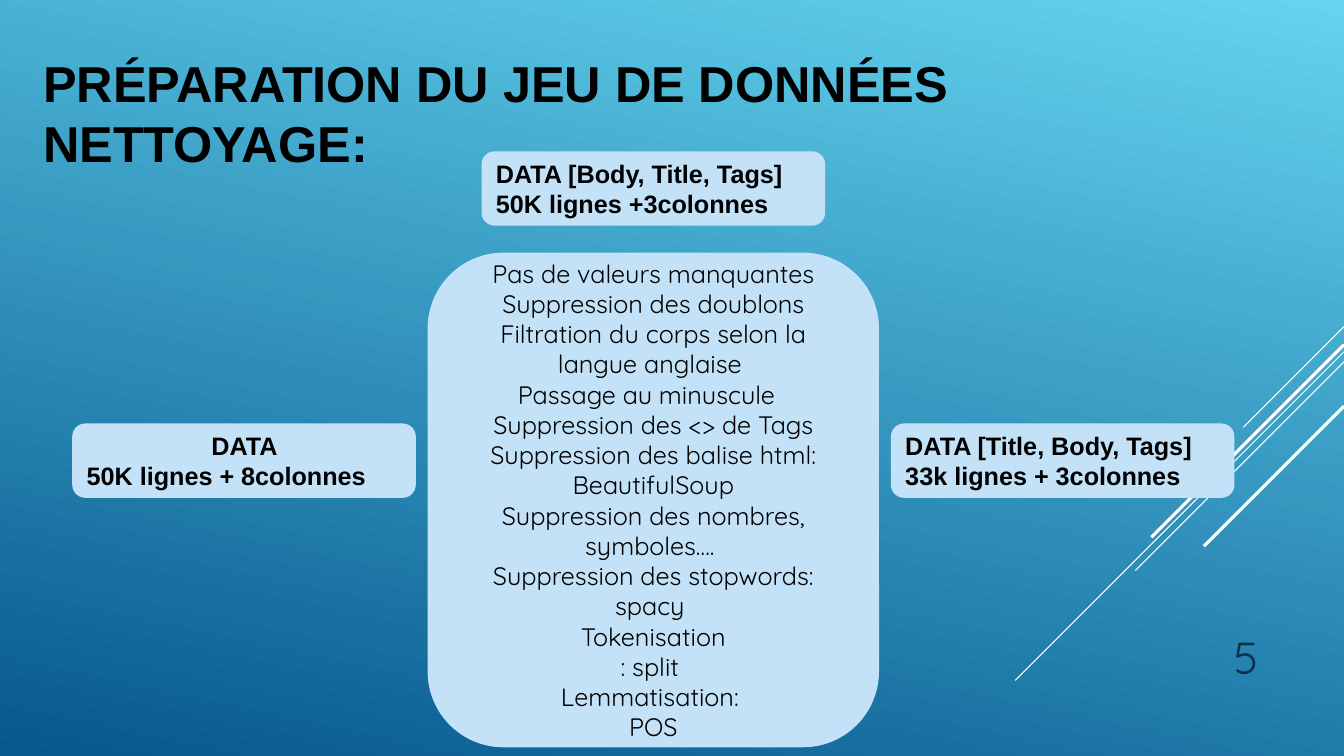
from pptx import Presentation
from pptx.dml.color import RGBColor
from pptx.enum.shapes import MSO_CONNECTOR, MSO_SHAPE
from pptx.enum.text import MSO_ANCHOR, PP_ALIGN
from pptx.oxml.ns import qn
from pptx.util import Inches, Pt
from lxml.etree import SubElement

BLACK = RGBColor(0x00, 0x00, 0x00)
WHITE = RGBColor(0xFF, 0xFF, 0xFF)
PALE_BLUE = RGBColor(0xC3, 0xE2, 0xF7)
NAVY = RGBColor(0x0A, 0x30, 0x4A)
SKY = RGBColor(0x64, 0xD4, 0xEF)
DEEP_BLUE = RGBColor(0x06, 0x58, 0x8E)

WIDTH, HEIGHT = 13.33, 7.5
LEFT, CENTER, RIGHT = PP_ALIGN.LEFT, PP_ALIGN.CENTER, PP_ALIGN.RIGHT
TITLE = "PRÉPARATION DU JEU DE DONNÉES\vNETTOYAGE:"
PAGE_NUMBER = "5"
STEPS = [
    "Pas de valeurs manquantes",
    "Suppression des doublons",
    "Filtration du corps selon la langue anglaise ",
    "Passage au minuscule  ",
    "Suppression des <> de Tags",
    "Suppression des balise html: BeautifulSoup",
    "Suppression des nombres, symboles…. ",
    "Suppression des stopwords:",
    "spacy ",
    "Tokenisation",
    ": split ",
    "Lemmatisation: ",
    "POS",
]

HEADING = {"name": "Arial", "size": Pt(36), "bold": True}
LABEL = {"name": "Arial", "size": Pt(18), "bold": True}
STEP = {"name": "Quicksand", "size": Pt(18), "bold": False}
NUMBER = {"name": "Quicksand", "size": Pt(32), "bold": False}

CARD, PANEL = (3.39, 0.72), (4.46, 4.89)
MIDDLE_COLUMN, COLUMN_PITCH = 6.48, 4.06
TOP_ROW, SIDE_ROW, PANEL_ROW = 1.87, 4.57, 4.96
CARDS = [
    (-1, SIDE_ROW, CARD, LABEL, [(" DATA ", CENTER), ("50K lignes + 8colonnes", LEFT)]),
    (0, PANEL_ROW, PANEL, STEP, [(step, CENTER) for step in STEPS]),
    (1, SIDE_ROW, CARD, LABEL, [("DATA [Title, Body, Tags]", LEFT), ("33k lignes + 3colonnes", LEFT)]),
    (0, TOP_ROW, CARD, LABEL, [("DATA [Body, Title, Tags]", LEFT), ("50K lignes +3colonnes", LEFT)]),
]
DIAGONALS = [(3.24, 1, 0.75), (3.49, 3.26, 0.75), (3.59, 2.07, 0.75), (3.42, 1.91, 2.25), (4.03, 1.39, 2.25)]


def write(shape, lines, style, color=BLACK, anchor=MSO_ANCHOR.MIDDLE):
    frame = shape.text_frame
    frame.word_wrap = True
    frame.vertical_anchor = anchor
    for index, (text, alignment) in enumerate(lines):
        para = frame.paragraphs[0] if index == 0 else frame.add_paragraph()
        para.text = text
        para.alignment = alignment
        para.line_spacing = Pt(style["size"].pt * 1.2)
        for span in para.runs:
            for name, value in style.items():
                setattr(span.font, name, value)
            span.font.color.rgb = color


def add_diagonal(page, top, reach, weight):
    ends = (WIDTH, top, WIDTH - reach, top + reach)
    line = page.shapes.add_connector(MSO_CONNECTOR.STRAIGHT, *map(Inches, ends))
    line.line.color.rgb = WHITE
    line.line.width = Pt(weight)
    SubElement(line._element.spPr, qn("a:effectLst"))


def add_card(page, column, row, size, style, lines):
    width, height = size
    left = MIDDLE_COLUMN + column * COLUMN_PITCH - width / 2
    area = (left, row - height / 2, width, height)
    card = page.shapes.add_shape(MSO_SHAPE.ROUNDED_RECTANGLE, *map(Inches, area))
    card.shadow.inherit = False
    card.fill.solid()
    card.fill.fore_color.rgb = PALE_BLUE
    card.line.color.rgb = PALE_BLUE
    card.line.width = Pt(1.25)
    write(card, lines, style)


def main():
    """Build the data cleaning slide."""
    deck = Presentation()
    deck.slide_width, deck.slide_height = Inches(WIDTH), Inches(HEIGHT)
    page = deck.slides.add_slide(deck.slide_layouts[6])
    backdrop = page.background.fill
    backdrop.gradient()
    backdrop.gradient_angle = 360 - 102
    for stop, color in zip(backdrop.gradient_stops, (SKY, DEEP_BLUE)):
        stop.color.rgb = color
    for diagonal in DIAGONALS:
        add_diagonal(page, *diagonal)
    title = page.shapes.add_textbox(*map(Inches, (0.33, 0.29, 9.33, 1.65)))
    write(title, [(TITLE, LEFT)], HEADING)
    for card in CARDS:
        add_card(page, *card)
    number = page.shapes.add_textbox(*map(Inches, (11.33, 6.1, 1.25, 0.73)))
    write(number, [(PAGE_NUMBER, RIGHT)], NUMBER, NAVY, MSO_ANCHOR.BOTTOM)
    deck.save("out.pptx")


if __name__ == "__main__":
    main()
